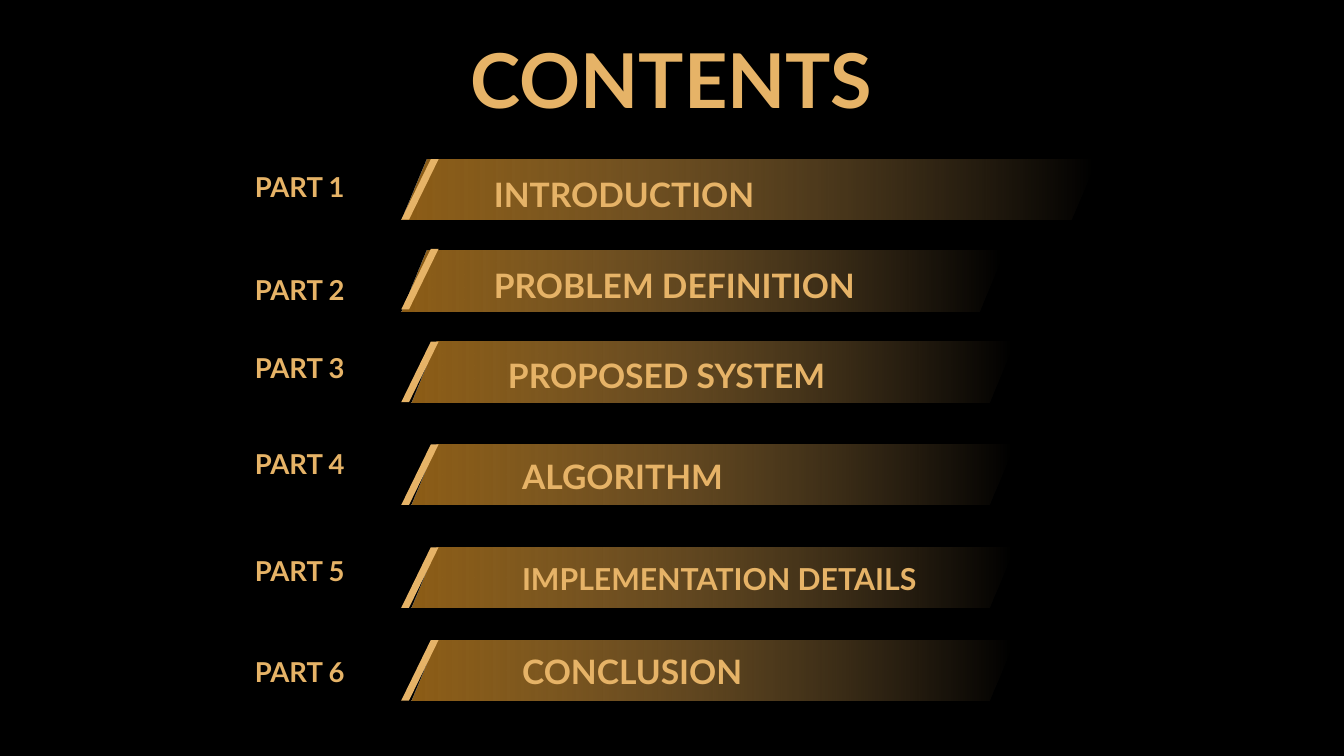
"""Build a dark contents slide with six golden part banners."""
from lxml.etree import SubElement
from pptx import Presentation
from pptx.dml.color import RGBColor
from pptx.enum.shapes import MSO_SHAPE
from pptx.enum.text import MSO_ANCHOR, PP_ALIGN
from pptx.oxml.ns import qn
from pptx.util import Inches, Pt

GOLD = "E6B367"
BROWN = "8F5F18"
BLACK = "000000"
HIGH = 0.6


def paint(color, code):
    color.rgb = RGBColor.from_string(code)


def write(text, left, top, width, height, size):
    box = slide.shapes.add_textbox(Inches(left), Inches(top), Inches(width), Inches(height))
    frame = box.text_frame
    frame.word_wrap = True
    frame.text = text
    line = frame.paragraphs[0]
    line.line_spacing = 1.2
    font = line.runs[0].font
    font.name = "Lato"
    font.size = Pt(size)
    font.bold = True
    paint(font.color, GOLD)
    return frame


deck = Presentation()
deck.slide_width = Inches(13.33)
deck.slide_height = Inches(7.5)
slide = deck.slides.add_slide(deck.slide_layouts[6])
back = slide.background.fill
back.solid()
paint(back.fore_color, BLACK)

title = write("CONTENTS", 4.39, 0.1, 4.54, 1.06, 54)
title.paragraphs[0].alignment = PP_ALIGN.CENTER

# topic, size, part top, bar left, bar top, bar width, stripe top, topic left, topic top
rows = [
    ("INTRODUCTION", 24, 1.57, 3.98, 1.58, 6.9, 1.58, 4.8, 1.64),
    ("PROBLEM DEFINITION", 24, 2.59, 3.98, 2.49, 5.98, 2.47, 4.8, 2.54),
    ("PROPOSED SYSTEM", 24, 3.37, 4.08, 3.39, 5.98, 3.39, 4.94, 3.44),
    ("ALGORITHM", 24, 4.32, 4.08, 4.41, 5.98, 4.41, 5.08, 4.44),
    ("IMPLEMENTATION DETAILS", 21.6, 5.38, 4.08, 5.43, 5.98, 5.43, 5.08, 5.46),
    ("CONCLUSION", 24, 6.38, 4.08, 6.35, 5.98, 6.35, 5.08, 6.37),
]

for part, row in enumerate(rows, 1):
    topic, size, label, left, top, width, edge, start, level = row
    bar = slide.shapes.add_shape(
        MSO_SHAPE.PARALLELOGRAM, Inches(left), Inches(top), Inches(width), Inches(HIGH))
    bar.adjustments[0] = 0.425
    bar.fill.gradient()
    bar.fill.gradient_angle = 0
    first, last = bar.fill.gradient_stops
    paint(first.color, BROWN)
    paint(last.color, GOLD)
    fade = list(bar.fill._xPr.iter(qn("a:srgbClr")))[-1]
    SubElement(fade, qn("a:alpha"), val="0")

    stripe = slide.shapes.add_shape(
        MSO_SHAPE.PARALLELOGRAM, Inches(3.98), Inches(edge), Inches(0.37), Inches(HIGH))
    stripe.adjustments[0] = 0.792
    stripe.fill.solid()
    paint(stripe.fill.fore_color, GOLD)

    for shape in (bar, stripe):
        shape.shadow.inherit = False
        shape.line.fill.background()

    write(f"PART {part}", 2.43, label, 1.24, 0.61, 19.6)
    frame = write(topic, start, level, width - 1.28, 0.54, size)
    frame.vertical_anchor = MSO_ANCHOR.MIDDLE
    frame.margin_top = Inches(0)

deck.save("out.pptx")
